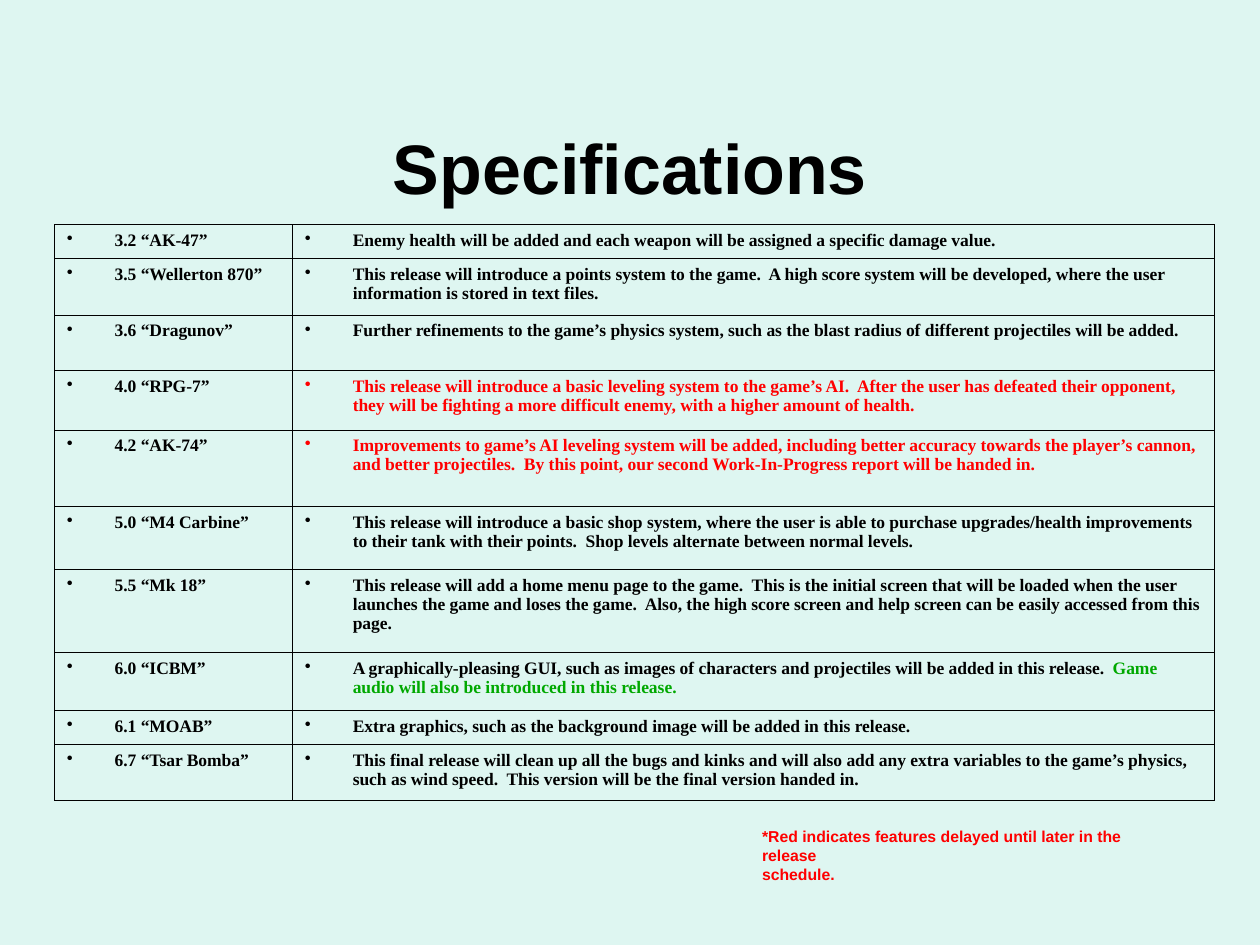
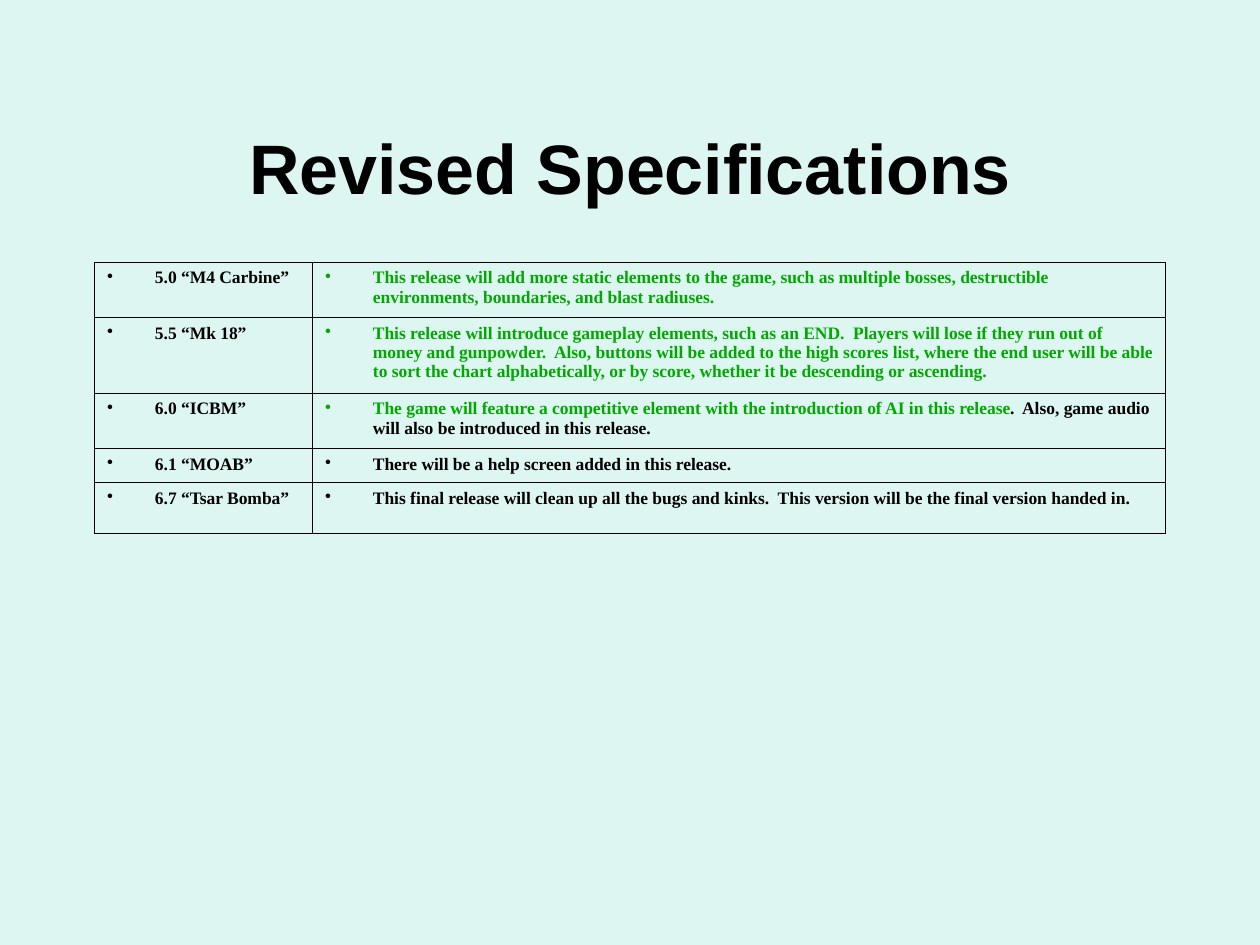
from lxml.etree import SubElement
from pptx import Presentation
from pptx.dml.color import RGBColor
from pptx.enum.text import MSO_AUTO_SIZE as AutoSize, PP_ALIGN as Align
from pptx.oxml.ns import qn
from pptx.util import Inches, Pt

COLOURS = {"mint": "DEF6F1", "black": "000000", "red": "FF0000", "green": "00A800"}
TITLE_FONT = {"name": "Arial", "size": Pt(40), "bold": True}
CELL_FONT = {"name": "Times New Roman", "size": Pt(10), "bold": True}
NOTE_FONT = {"name": "Arial", "size": Pt(9), "bold": True}
HANGING = Inches(0.38)

# Places are percentages of the slide's width and height
TITLE_PLACE = {"left": 7.5, "top": 9.33, "width": 85, "height": 16.67}
NOTE_PLACE = {"left": 59.5, "top": 86.8, "width": 35.1, "height": 5.33}
NOTE = "*Red indicates features delayed until later in the release\vschedule."

# Each release: row height, name, then coloured spans of its description
PAGES = [
    {
        "title": "Specifications",
        "left": 4.3, "top": 23.73, "columns": [18.9, 73.2], "border": 0.06,
        "note": NOTE,
        "releases": [
            (3.6, "3.2 “AK-47”", [
                ("Enemy health will be added and each weapon will be assigned a specific "
                 "damage value.", "black")]),
            (6, "3.5 “Wellerton 870”", [
                ("This release will introduce a points system to the game.  A high score "
                 "system will be developed, where the user information is stored in text "
                 "files.", "black")]),
            (5.87, "3.6 “Dragunov”", [
                ("Further refinements to the game’s physics system, such as the blast "
                 "radius of different projectiles will be added.", "black")]),
            (6.27, "4.0 “RPG-7”", [
                ("This release will introduce a basic leveling system to the game’s AI.  "
                 "After the user has defeated their opponent, they will be fighting a more "
                 "difficult enemy, with a higher amount of health.", "red")]),
            (8.13, "4.2 “AK-74”", [
                ("Improvements to game’s AI leveling system will be added, including better "
                 "accuracy towards the player’s cannon, and better projectiles.  By this "
                 "point, our second Work-In-Progress report will be handed in.", "red")]),
            (6.67, "5.0 “M4 Carbine”", [
                ("This release will introduce a basic shop system, where the user is able "
                 "to purchase upgrades/health improvements to their tank with their points.  "
                 "Shop levels alternate between normal levels.", "black")]),
            (8.8, "5.5 “Mk 18”", [
                ("This release will add a home menu page to the game.  This is the initial "
                 "screen that will be loaded when the user launches the game and loses the "
                 "game.  Also, the high score screen and help screen can be easily accessed "
                 "from this page.", "black")]),
            (6.13, "6.0 “ICBM”", [
                ("A graphically-pleasing GUI, such as images of characters and projectiles "
                 "will be added in this release.  ", "black"),
                ("Game audio will also be introduced in this release.", "green")]),
            (3.6, "6.1 “MOAB”", [
                ("Extra graphics, such as the background image will be added in this "
                 "release.", "black")]),
            (5.87, "6.7 “Tsar Bomba”", [
                ("This final release will clean up all the bugs and kinks and will also add "
                 "any extra variables to the game’s physics, such as wind speed.  This "
                 "version will be the final version handed in.", "black")]),
        ],
    },
    {
        "title": "Revised Specifications",
        "left": 7.5, "top": 27.73, "columns": [17.3, 67.7], "border": 0.45,
        "note": None,
        "releases": [
            (5.87, "5.0 “M4 Carbine”", [
                ("This release will add more static elements to the game, such as multiple "
                 "bosses, destructible environments, boundaries, and blast radiuses.",
                 "green")]),
            (8, "5.5 “Mk 18”", [
                ("This release will introduce gameplay elements, such as an END.  Players "
                 "will lose if they run out of money and gunpowder.  Also, buttons will be "
                 "added to the high scores list, where the end user will be able to sort "
                 "the chart alphabetically, or by score, whether it be descending or "
                 "ascending.", "green")]),
            (5.87, "6.0 “ICBM”", [
                ("The game will feature a competitive element with the introduction of AI "
                 "in this release", "green"),
                (".  Also, game audio will also be introduced in this release.", "black")]),
            (3.6, "6.1 “MOAB”", [
                ("There will be a help screen added in this release.", "black")]),
            (5.33, "6.7 “Tsar Bomba”", [
                ("This final release will clean up all the bugs and kinks.  This version "
                 "will be the final version handed in.", "black")]),
        ],
    },
]

deck = Presentation()
deck.slide_width, deck.slide_height = Inches(10), Inches(7.5)
across, down = deck.slide_width / 100, deck.slide_height / 100


def place(box, percents):
    for side, percent in percents.items():
        unit = across if side in ("left", "width") else down
        setattr(box, side, round(percent * unit))


def style(font, values, colour):
    for name, value in values.items():
        setattr(font, name, value)
    font.color.rgb = RGBColor.from_string(COLOURS[colour])


# Shared background and title position
background = deck.slide_master.background.fill
background.solid()
background.fore_color.rgb = RGBColor.from_string(COLOURS["mint"])
layout = deck.slide_layouts.get_by_name("Title Only")
place(layout.placeholders[0], TITLE_PLACE)

for content in PAGES:
    page = deck.slides.add_slide(layout)

    # Title
    heading = page.shapes.title.text_frame
    heading.text = content["title"]
    heading.paragraphs[0].alignment = Align.CENTER
    style(heading.paragraphs[0].runs[0].font, TITLE_FONT, "black")

    # Release table
    releases = content["releases"]
    heights = [height for height, name, spans in releases]
    frame = page.shapes.add_table(len(releases), 2, 0, 0, 100, 100)
    table = frame.table
    table.first_row = table.horz_banding = False
    for column, width in zip(table.columns, content["columns"]):
        column.width = round(width * across)
    for row, height in zip(table.rows, heights):
        row.height = round(height * down)
    place(frame, {"left": content["left"], "top": content["top"],
                  "width": sum(content["columns"]), "height": sum(heights)})

    for row, (height, name, description) in zip(table.rows, releases):
        for cell, spans in zip(row.cells, [[(name, "black")], description]):
            # Cell borders and fill
            properties = cell._tc.get_or_add_tcPr()
            for edge in ("a:lnL", "a:lnR", "a:lnT", "a:lnB"):
                line = SubElement(properties, qn(edge), w=str(Pt(content["border"])))
                paint = SubElement(line, qn("a:solidFill"))
                SubElement(paint, qn("a:srgbClr"), val=COLOURS["black"])
            cell.fill.background()

            # Bullet takes the colour of the first span
            para = cell.text_frame.paragraphs[0]
            bullet = para._p.get_or_add_pPr()
            bullet.set("marL", str(HANGING))
            bullet.set("indent", str(-HANGING))
            tint = SubElement(bullet, qn("a:buClr"))
            SubElement(tint, qn("a:srgbClr"), val=COLOURS[spans[0][1]])
            SubElement(bullet, qn("a:buChar"), char="•")
            for text, colour in spans:
                span = para.add_run()
                span.text = text
                style(span.font, CELL_FONT, colour)

    # Footnote
    if content["note"]:
        box = page.shapes.add_textbox(0, 0, 100, 100)
        place(box, NOTE_PLACE)
        box.text_frame.word_wrap = False
        box.text_frame.auto_size = AutoSize.SHAPE_TO_FIT_TEXT
        para = box.text_frame.paragraphs[0]
        para.text = content["note"]
        for span in para.runs:
            style(span.font, NOTE_FONT, "red")

deck.save("out.pptx")
